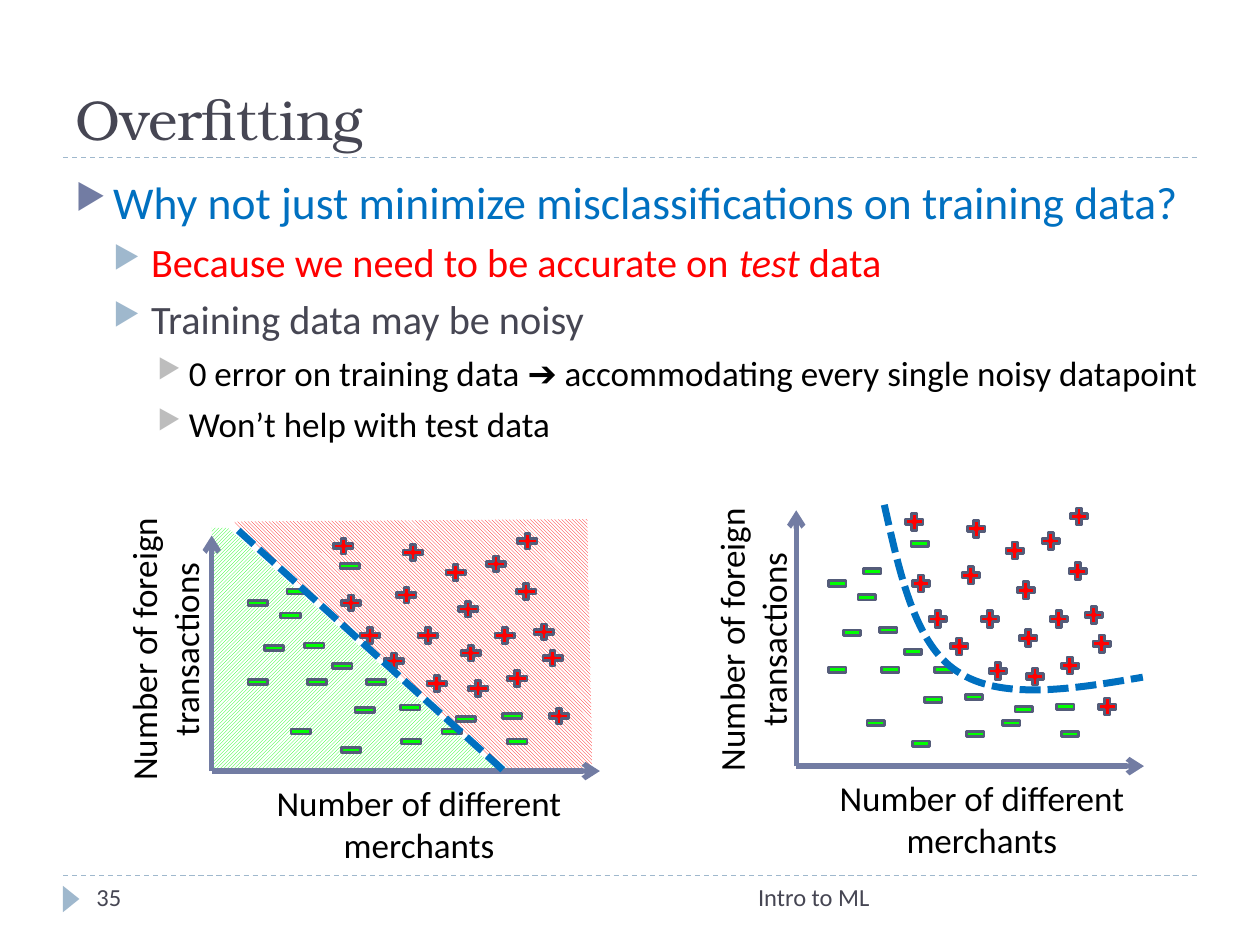
from collections import namedtuple
from dataclasses import dataclass

from lxml.etree import SubElement
from pptx import Presentation
from pptx.dml.color import RGBColor
from pptx.enum.dml import MSO_LINE as Dash, MSO_PATTERN as Hatch
from pptx.enum.shapes import MSO_CONNECTOR as Link, MSO_SHAPE as Kind
from pptx.enum.text import MSO_ANCHOR as Anchor, MSO_AUTO_SIZE as Fit, PP_ALIGN as Align
from pptx.oxml.ns import qn
from pptx.util import Pt


@dataclass(frozen=True)
class Theme:
    """Colours, fonts and type sizes of the deck."""
    ink: str = "464653"
    black: str = "000000"
    white: str = "FFFFFF"
    blue: str = "0070C0"
    red: str = "FF0000"
    green: str = "00FF00"
    axis: str = "727CA3"
    edge: str = "545C79"
    pale: str = "9FB8CD"
    gray: str = "BDBDBD"
    serif: str = "TeX Gyre Bonum"
    sans: str = "Calibri"
    title: int = 32
    lead: int = 26
    point: int = 23
    text: int = 20
    foot: int = 14


T = Theme()
Box = namedtuple("Box", "x y w h")
GRID = (308, 187)
MARK = (21, 17)
PLUS = [(183, 21), (115, 71), (232, 105), (260, 89), (100, 45), (94, 0), (144, 39),
        (149, 5), (193, 50), (239, 36), (240, -4), (134, 91), (265, 135), (195, 85),
        (201, 113), (168, 109), (161, 71), (222, 71), (253, 68), (215, 14)]
MINUS = [(73, 108), (93, 95), (147, 128), (180, 147), (71, 79), (26, 45), (26, 108),
         (60, 147), (111, 130), (39, 81), (99, 16), (120, 108), (228, 135), (191, 137),
         (52, 55), (57, 36), (148, 155), (100, 162), (232, 155)]
BELOW = [(13, -6), (229, 188), (2, 186), (0, -6)]
ABOVE = [(22, -5), (233, 187), (302, 186), (298, -13), (18, -11)]
CURVE = [(78, -4), (92, 47), (105, 98), (143, 118), (181, 139), (244, 131), (307, 122)]
BODY = [(0, T.lead, T.blue, ["Why not just minimize misclassifications on training data?"]),
        (1, T.point, T.red, ["Because we need to be accurate on ", "test", " data"]),
        (1, T.point, T.ink, ["Training data may be noisy"]),
        (2, T.text, T.black,
         ["0 error on training data ➔ accommodating every single noisy datapoint"]),
        (2, T.text, T.black, ["Won’t help with test data"])]
LEVELS = [(21.6, 21.6, T.axis), (43.2, 21.6, T.pale), (64.8, 18, T.gray)]


def rgb(code):
    """Turn a hex code into a colour."""
    return RGBColor.from_string(code)


def style(font, size, color, face=T.sans):
    """Set the face, size and colour of a font."""
    font.name, font.size, font.color.rgb = face, Pt(size), rgb(color)


def write(shapes, box, text, size, color, face=T.sans, align=Align.LEFT, anchor=Anchor.TOP):
    """Add a wrapped text box with one line of text."""
    item = shapes.add_textbox(*map(Pt, box))
    frame = item.text_frame
    frame.word_wrap, frame.vertical_anchor, frame.text = True, anchor, text
    para = frame.paragraphs[0]
    para.alignment = align
    style(para.runs[0].font, size, color, face)
    return item


def stroke(line, color, width, dash=None):
    """Set the colour, width and dash of a line."""
    line.color.rgb, line.width = rgb(color), Pt(width)
    if dash:
        line.dash_style = dash


def link(shapes, start, end, color, width, dash=None, arrow=False):
    """Draw a straight line, with an arrowhead if asked."""
    item = shapes.add_connector(Link.STRAIGHT, *map(Pt, (*start, *end)))
    stroke(item.line, color, width, dash)
    if arrow:
        SubElement(item.line._get_or_add_ln(), qn("a:tailEnd"), type="arrow")
    SubElement(item._element.spPr, qn("a:effectLst"))


def outline(shapes, spots, close):
    """Build a freeform through the given spots."""
    first, *rest = [tuple(map(Pt, spot)) for spot in spots]
    pen = shapes.build_freeform(*first)
    pen.add_line_segments(rest, close=close)
    item = pen.convert_to_shape()
    item.shadow.inherit = False
    return item


def region(shapes, spots, hatch, color):
    """Fill one side of the boundary with a hatch."""
    item = outline(shapes, spots, True)
    item.line.fill.background()
    item.fill.patterned()
    item.fill.pattern = hatch
    item.fill.fore_color.rgb, item.fill.back_color.rgb = rgb(color), rgb(T.white)


def curve(shapes, spots):
    """Draw a dashed cubic curve from end and control spots."""
    item = outline(shapes, spots, False)
    item.fill.background()
    stroke(item.line, T.blue, 4, Dash.SQUARE_DOT)
    path = item._element.xpath(".//a:path")[0]
    legs = path.findall(qn("a:lnTo"))
    for i in range(0, len(legs), 3):
        cubic = SubElement(path, qn("a:cubicBezTo"))
        for leg in legs[i:i + 3]:
            cubic.append(leg[0])
            path.remove(leg)


def solid(shapes, kind, box, color):
    """Add a plain filled shape."""
    item = shapes.add_shape(kind, *map(Pt, box))
    item.shadow.inherit = False
    item.fill.solid()
    item.fill.fore_color.rgb = rgb(color)
    item.line.fill.background()
    return item


def plot(slide, box, side, bent):
    """Draw a scatter of both classes with a straight or bent boundary."""
    shapes = slide.shapes.add_group_shape().shapes
    sx, sy = box.w / GRID[0], box.h / GRID[1]

    def place(spot):
        """Map a grid spot to the slide."""
        return box.x + spot[0] * sx, box.y + spot[1] * sy

    if not bent:
        for spots, hatch, color in (
                (BELOW, Hatch.LIGHT_UPWARD_DIAGONAL, T.green),
                (ABOVE, Hatch.LIGHT_DOWNWARD_DIAGONAL, T.red)):
            region(shapes, [place(s) for s in spots], hatch, color)
    for end in (GRID, (0, 0)):
        link(shapes, place((0, GRID[1])), place(end), T.axis, 3, arrow=True)
    across = Box(*place((21, 190)), 287 * sx, 18)
    mid, long = place(side), 239 * sy
    up = Box(mid[0] - long / 2, mid[1] - 9, long, 18)
    for spot, text, turn in ((across, "Number of different merchants", 0),
                             (up, "Number of foreign transactions", 270)):
        label = write(shapes, spot, text, T.text, T.black, align=Align.CENTER)
        label.text_frame.auto_size = Fit.SHAPE_TO_FIT_TEXT
        label.rotation = turn
    for spots, kind, color in ((PLUS, Kind.MATH_PLUS, T.red), (MINUS, Kind.MATH_MINUS, T.green)):
        for spot in spots:
            size = MARK[0] * sx, MARK[1] * sy
            mark = solid(shapes, kind, (*place(spot), *size), color)
            stroke(mark.line, T.edge, 1.5)
    if bent:
        curve(shapes, [place(s) for s in CURVE])
    else:
        link(shapes, place((21, -4)), place((232, 187)), T.blue, 4, Dash.SQUARE_DOT)


def head(slide, box):
    """Place the title above its rule."""
    base = box.y + box.h
    link(slide.shapes, (box.x, base), (box.x + box.w, base), T.pale, 0.75, Dash.DASH)
    write(slide.shapes, box, "Overfitting", T.title, T.ink, T.serif, anchor=Anchor.BOTTOM)


def body(slide, box):
    """Place the bulleted text."""
    frame = slide.shapes.add_textbox(*map(Pt, box)).text_frame
    frame.word_wrap = True
    for i, (level, size, color, parts) in enumerate(BODY):
        para = frame.add_paragraph() if i else frame.paragraphs[0]
        para.level, para.space_before = level, Pt(5 if i else 0)
        left, hang, tint = LEVELS[level]
        props = para._p.get_or_add_pPr()
        props.set("marL", str(Pt(left)))
        props.set("indent", str(-Pt(hang)))
        SubElement(SubElement(props, qn("a:buClr")), qn("a:srgbClr"), val=tint)
        SubElement(props, qn("a:buSzPct"), val="76000")
        SubElement(props, qn("a:buChar"), char="▶")
        for part in parts:
            run = para.add_run()
            run.text = part
            style(run.font, size, color)
            run.font.italic = part == "test"


def foot(slide, box):
    """Place the rule, marker, page number and course name."""
    shapes, (x, y, w, h) = slide.shapes, box
    link(shapes, (x, y), (x + w, y), T.pale, 0.75, Dash.DASH)
    solid(shapes, Kind.ISOSCELES_TRIANGLE, (x - 2.9, y + 8.6, 15.1, 9.4), T.pale).rotation = 90
    write(shapes, (x + 192, y, 276, h), "Intro to ML", T.foot, T.ink, align=Align.RIGHT)
    write(shapes, (x + 12, y, 156, h), "35", T.foot, T.ink)


def main():
    """Build and save the slide."""
    deck = Presentation()
    deck.slide_width, deck.slide_height = Pt(720), Pt(540)
    slide = deck.slides.add_slide(deck.slide_layouts[6])
    head(slide, Box(36, 12, 648, 78))
    body(slide, Box(36, 96, 672, 389))
    plot(slide, Box(121, 306, 221.8, 134.6), (-63.5, 90.5), False)
    plot(slide, Box(455, 291.6, 198.7, 146.2), (-68, 94.5), True)
    foot(slide, Box(36, 500.4, 648, 29))
    deck.save("out.pptx")


if __name__ == "__main__":
    main()
